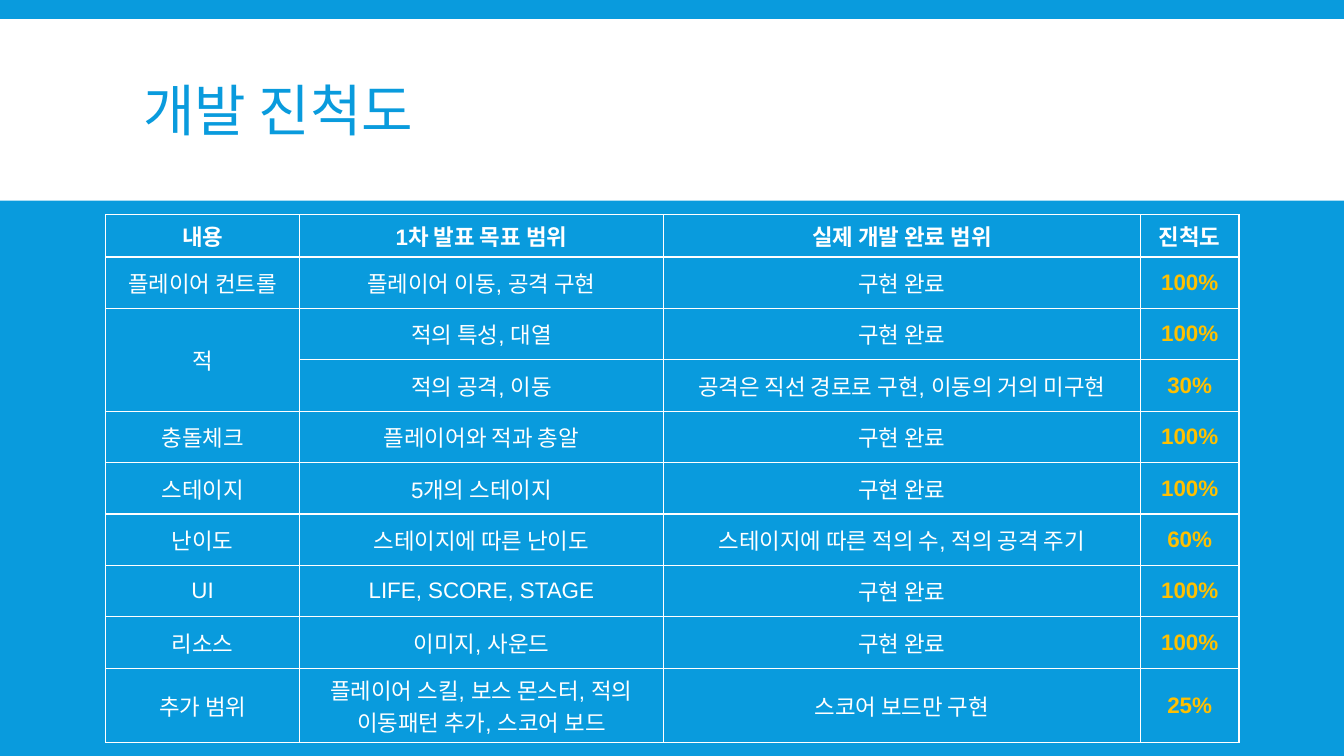
from typing import NamedTuple

from lxml.etree import SubElement
from pptx import Presentation
from pptx.dml.color import RGBColor
from pptx.enum.shapes import MSO_SHAPE
from pptx.enum.text import MSO_ANCHOR, PP_ALIGN
from pptx.oxml.ns import qn
from pptx.slide import Slide
from pptx.table import Table, _Cell as Cell
from pptx.util import Inches, Pt

BLUE, WHITE, AMBER = "099BDD", "FFFFFF", "FFC000"
DONE = "구현 완료"
COLUMN_WIDTHS = (1.92, 3.61, 4.73, 0.98)
HEADER_HEIGHT, ROW_HEIGHT = 0.41, 0.51


class Progress(NamedTuple):
    """One row of the progress table; an empty topic continues the one above."""
    topic: str
    goal: str
    result: str
    rate: str


HEADER = Progress("내용", "1차 발표 목표 범위", "실제 개발 완료 범위", "진척도")
ITEMS = (
    Progress("플레이어 컨트롤", "플레이어 이동, 공격 구현", DONE, "100%"),
    Progress("적", "적의 특성, 대열", DONE, "100%"),
    Progress("", "적의 공격, 이동", "공격은 직선 경로로 구현, 이동의 거의 미구현", "30%"),
    Progress("충돌체크", "플레이어와 적과 총알", DONE, "100%"),
    Progress("스테이지", "5개의 스테이지", DONE, "100%"),
    Progress("난이도", "스테이지에 따른 난이도", "스테이지에 따른 적의 수, 적의 공격 주기", "60%"),
    Progress("UI", "LIFE, SCORE, STAGE", DONE, "100%"),
    Progress("리소스", "이미지, 사운드", DONE, "100%"),
    Progress("추가 범위", "플레이어 스킬, 보스 몬스터, 적의 이동패턴 추가, 스코어 보드",
             "스코어 보드만 구현", "25%"),
)


def rgb(value: str) -> RGBColor:
    """Turn a hex string into a colour."""
    return RGBColor.from_string(value)


def add_title(slide: Slide, heading: str) -> None:
    """Place the heading on a white band across the slide."""
    band = slide.shapes.add_shape(MSO_SHAPE.RECTANGLE, 0, Inches(0.19),
                                  Inches(13.33), Inches(1.8))
    band.shadow.inherit = False
    band.fill.solid()
    band.fill.fore_color.rgb = rgb(WHITE)
    band.line.fill.background()

    title = slide.shapes.title
    title._element.addprevious(band._element)
    title.left, title.top = Inches(1.32), Inches(0.31)
    title.width, title.height = Inches(10.7), Inches(1.65)
    title.text_frame.text = heading
    title.text_frame.vertical_anchor = MSO_ANCHOR.MIDDLE
    paragraph = title.text_frame.paragraphs[0]
    paragraph.alignment = PP_ALIGN.LEFT
    paragraph.line_spacing = 0.85
    font = paragraph.font
    font.name, font.size = "Lato", Pt(40)
    font.color.rgb = rgb(BLUE)


def add_borders(cell: Cell, color: str) -> None:
    """Draw a thin line on all four sides of a cell."""
    properties = cell._tc.get_or_add_tcPr()
    for side in ("a:lnL", "a:lnR", "a:lnT", "a:lnB"):
        line = SubElement(properties, qn(side), w=str(Pt(1)))
        fill = SubElement(line, qn("a:solidFill"))
        SubElement(fill, qn("a:srgbClr"), val=color)


def format_cell(cell: Cell, text: str, color: str, bold: bool) -> None:
    """Write centred text into a bordered cell without fill."""
    add_borders(cell, WHITE)
    cell.fill.background()
    cell.vertical_anchor = MSO_ANCHOR.MIDDLE
    cell.text = text
    paragraph = cell.text_frame.paragraphs[0]
    paragraph.alignment = PP_ALIGN.CENTER
    font = paragraph.font
    font.name, font.size, font.bold = "Arial", Pt(16), bold
    font.color.rgb = rgb(color)


def add_progress_table(slide: Slide) -> Table:
    """Build the table of goals, results and completion rates."""
    rows = (HEADER, *ITEMS)
    height = HEADER_HEIGHT + ROW_HEIGHT * len(ITEMS)
    table = slide.shapes.add_table(
        len(rows), len(COLUMN_WIDTHS), Inches(1.05), Inches(2.13),
        Inches(sum(COLUMN_WIDTHS)), Inches(height)).table
    table.first_row = table.horz_banding = False
    for column, width in zip(table.columns, COLUMN_WIDTHS):
        column.width = Inches(width)
    for r, item in enumerate(rows):
        is_header = item is HEADER
        table.rows[r].height = Inches(HEADER_HEIGHT if is_header else ROW_HEIGHT)
        for c, text in enumerate(item):
            is_rate = not is_header and text == item.rate
            format_cell(table.cell(r, c), text, AMBER if is_rate else WHITE,
                        is_header or is_rate)
        if not item.topic:
            table.cell(r - 1, 0).merge(table.cell(r, 0))
    return table


presentation = Presentation()
presentation.slide_width, presentation.slide_height = Inches(13.33), Inches(7.5)
progress_slide = presentation.slides.add_slide(presentation.slide_layouts[5])
progress_slide.background.fill.solid()
progress_slide.background.fill.fore_color.rgb = rgb(BLUE)
add_title(progress_slide, "개발 진척도")
add_progress_table(progress_slide)
presentation.save("out.pptx")
